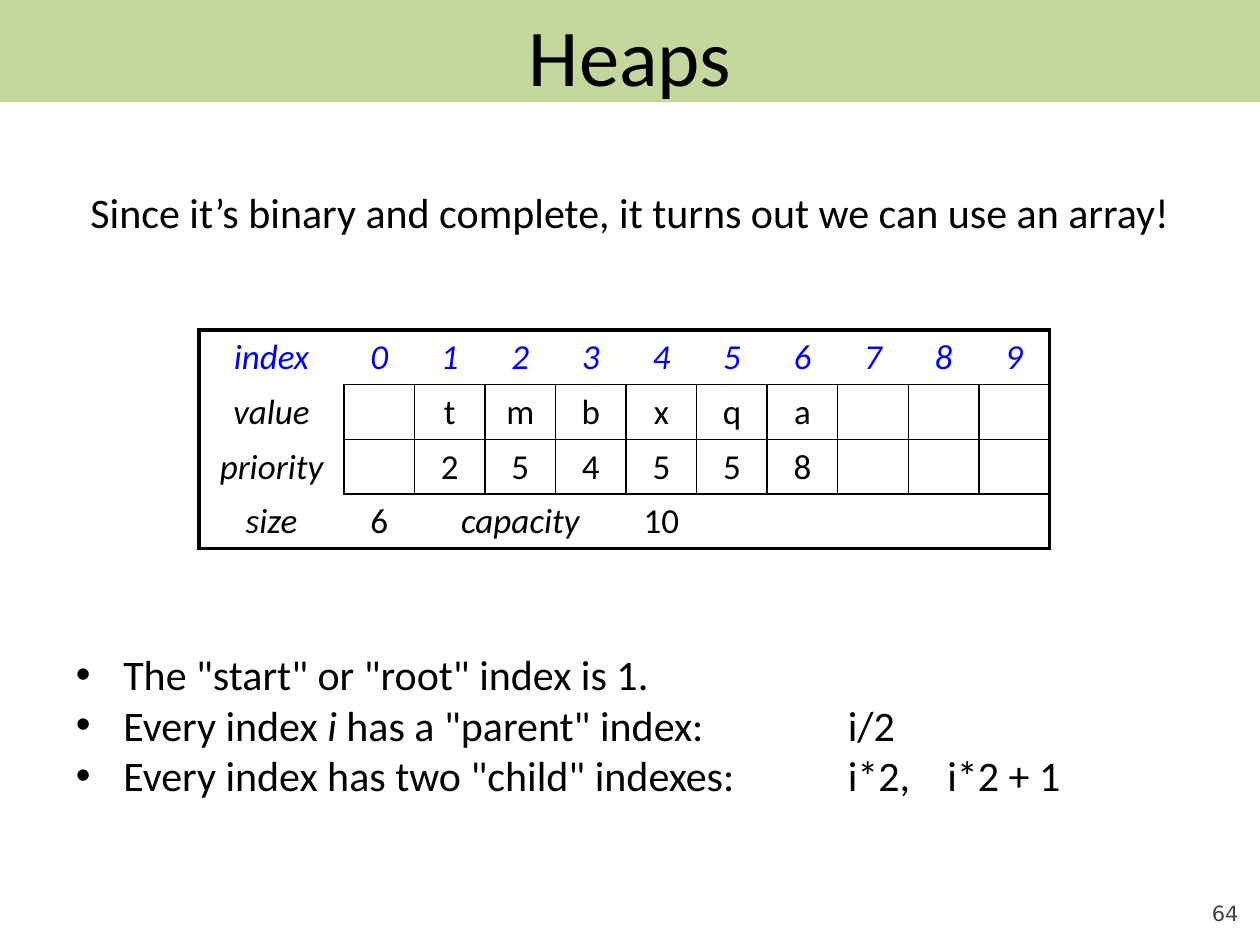
from lxml import etree
from pptx import Presentation
from pptx.dml.color import RGBColor
from pptx.enum.shapes import MSO_SHAPE
from pptx.enum.text import MSO_ANCHOR, PP_ALIGN
from pptx.oxml.ns import qn
from pptx.util import Inches, Pt

ROUNDED = MSO_SHAPE.ROUNDED_RECTANGLE
TOP, BOTTOM = MSO_ANCHOR.TOP, MSO_ANCHOR.BOTTOM
LEFT, CENTER, RIGHT = PP_ALIGN.LEFT, PP_ALIGN.CENTER, PP_ALIGN.RIGHT
COLORS = {"ink": "000000", "band": "C3D69B", "index": "0000FF", "number": "424242"}
SIDES = {"lnL": (0, -1), "lnR": (0, 1), "lnT": (-1, 0), "lnB": (1, 0)}
HEAP = [
    ["index", *"0123456789"],
    ["value", "", *"tmbxqa", "", "", ""],
    ["priority", "", *"254558", "", "", ""],
    ["size", "6", "capacity", "", "", "10", "", "", "", "", ""],
]
RULES = [
    [('The "start" or "root" index is 1.', False)],
    [("Every index ", False), ("i", True), (' has a "parent" index:\ti/2', False)],
    [('Every index has two "child" indexes:\ti*2,\ti*2 + 1', False)],
]


class HeapSlide:
    """Holds the style and the current slide, with lengths in percent of its size."""

    font = "Calibri"
    outer_line, inner_line = 2.25, 1

    def __init__(self, presentation):
        self.width, self.height = presentation.slide_width, presentation.slide_height
        self.slide = presentation.slides.add_slide(presentation.slide_layouts[6])

    def across(self, share):
        return round(self.width * share / 100)

    def down(self, share):
        return round(self.height * share / 100)

    def place(self, left, top, width, height):
        return self.across(left), self.down(top), self.across(width), self.down(height)

    def style(self, font, size, color="ink", italic=False, name=None):
        font.name, font.size, font.italic = name or self.font, Pt(size), italic
        font.color.rgb = RGBColor.from_string(COLORS[color])

    def band(self, *box):
        shape = self.slide.shapes.add_shape(ROUNDED, *self.place(*box))
        shape.adjustments[0] = 0
        shape.shadow.inherit = False
        shape.fill.solid()
        shape.fill.fore_color.rgb = RGBColor.from_string(COLORS["band"])
        shape.line.fill.background()

    def frame(self, box, anchor=TOP):
        text_frame = self.slide.shapes.add_textbox(*self.place(*box)).text_frame
        text_frame.word_wrap = True
        text_frame.vertical_anchor = anchor
        return text_frame

    def text(self, box, text, size, align=CENTER, anchor=TOP, color="ink", name=None):
        text_frame = self.frame(box, anchor)
        text_frame.text = text
        paragraph = text_frame.paragraphs[0]
        paragraph.alignment = align
        self.style(paragraph.runs[0].font, size, color, name=name)
        return text_frame

    def bullets(self, box, items, size, indent, hanging, stops):
        text_frame = self.frame(box)
        for number, item in enumerate(items):
            paragraph = text_frame.add_paragraph() if number else text_frame.paragraphs[0]
            paragraph.alignment = LEFT
            properties = paragraph._p.get_or_add_pPr()
            properties.set("marL", str(self.across(indent)))
            properties.set("indent", str(-self.across(hanging)))
            etree.SubElement(properties, qn("a:buFont"), typeface="Arial")
            etree.SubElement(properties, qn("a:buChar"), char="•")
            tabs = etree.SubElement(properties, qn("a:tabLst"))
            for stop in stops:
                etree.SubElement(tabs, qn("a:tab"), pos=str(self.across(stop)), algn="l")
            for words, italic in item:
                run = paragraph.add_run()
                run.text = words
                self.style(run.font, size, italic=italic)

    def line_weight(self, row, column, step):
        near_row, near_column = row + step[0], column + step[1]
        if not (0 <= near_row < len(HEAP) and 0 <= near_column < len(HEAP[0])):
            return self.outer_line
        touches_array = any(r in (1, 2) and c > 0
                            for r, c in ((row, column), (near_row, near_column)))
        return self.inner_line if touches_array else 0

    def borders(self, cell, row, column):
        properties = cell._tc.get_or_add_tcPr()
        for tag, step in SIDES.items():
            weight = self.line_weight(row, column, step)
            line = etree.SubElement(properties, qn(f"a:{tag}"), w=str(Pt(weight)))
            if weight:
                fill = etree.SubElement(line, qn("a:solidFill"))
                etree.SubElement(fill, qn("a:srgbClr"), val=COLORS["ink"])
            else:
                etree.SubElement(line, qn("a:noFill"))

    def table(self, box, rows, size, label_width):
        columns = len(rows[0])
        table = self.slide.shapes.add_table(len(rows), columns, *self.place(*box)).table
        table.first_row = table.horz_banding = False
        cell_width = (box[2] - label_width) / (columns - 1)
        for number, column in enumerate(table.columns):
            column.width = self.across(cell_width if number else label_width)
        for r, row in enumerate(rows):
            for c, text in enumerate(row):
                cell = table.cell(r, c)
                self.borders(cell, r, c)
                cell.fill.background()
                cell.text = text
                paragraph = cell.text_frame.paragraphs[0]
                paragraph.alignment = CENTER
                italic = r == 0 or c == 0 or text == "capacity"
                for run in paragraph.runs:
                    self.style(run.font, size, "ink" if r else "index", italic)
        table.cell(3, 2).merge(table.cell(3, 4))


def main():
    presentation = Presentation()
    presentation.slide_width, presentation.slide_height = Inches(10), Inches(7.5)
    page = HeapSlide(presentation)
    number = page.text((90, 92.67, 8.3, 5.33), "64", 12, RIGHT, BOTTOM, "number", "DejaVu Sans")
    number.margin_left = number.margin_right = number.margin_top = number.margin_bottom = 0
    page.band(0, 0, 100, 10.8)
    page.table((15.8, 34.93, 67.5, 23.07), HEAP, 20, label_width=11.5)
    page.text((5, 0, 90, 10), "Heaps", 46)
    page.text((0, 19.07, 100, 6.67),
              "Since it’s binary and complete, it turns out we can use an array!", 24)
    page.bullets((1.3, 68, 96.2, 17.47), RULES, 24, indent=7.5, hanging=3.75, stops=(65, 72.9))
    presentation.save("out.pptx")


if __name__ == "__main__":
    main()
